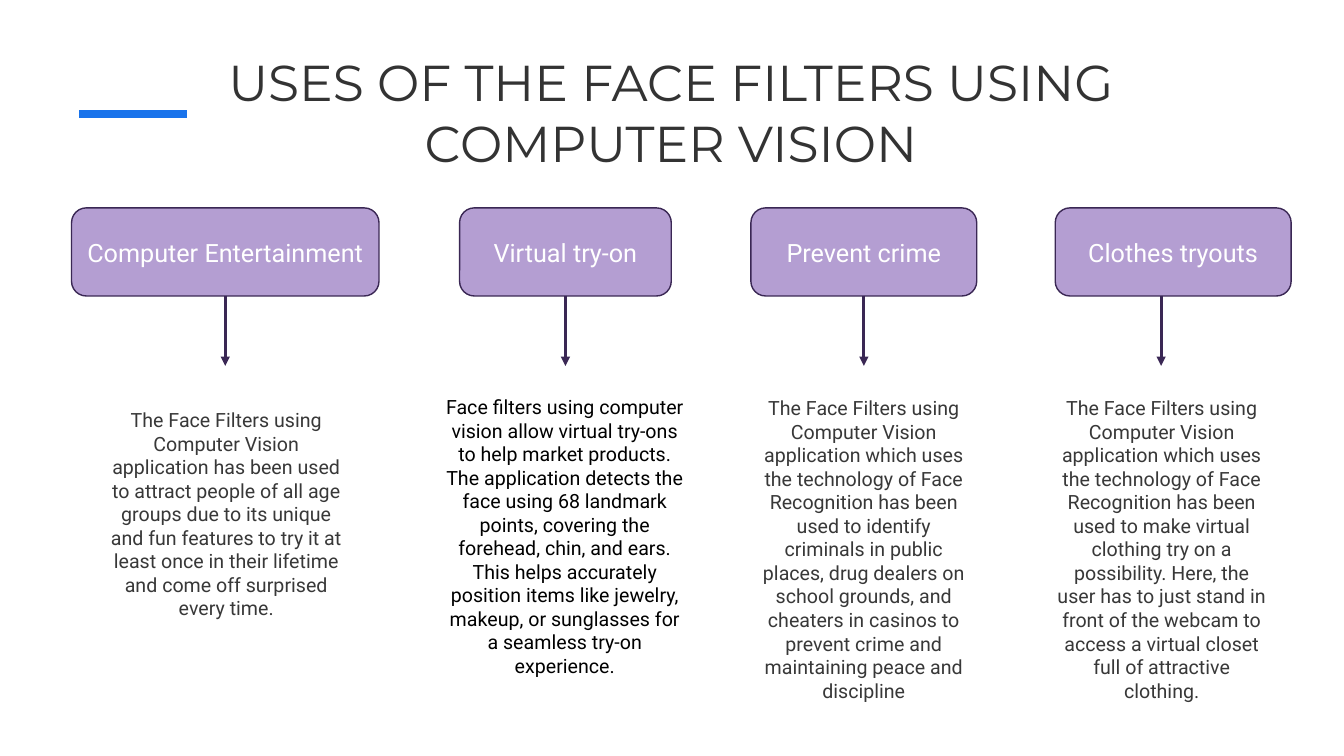
from lxml import etree
from pptx import Presentation
from pptx.dml.color import RGBColor
from pptx.enum import shapes, text
from pptx.oxml import ns
from pptx.util import Pt

# Colours
WHITE = RGBColor(0xFF, 0xFF, 0xFF)
BLACK = RGBColor(0, 0, 0)
DARK = RGBColor(0x33, 0x33, 0x33)
GREY = RGBColor(0x38, 0x38, 0x38)
BLUE = RGBColor(0x19, 0x73, 0xEB)
LILAC = RGBColor(0xB4, 0x9E, 0xD2)
PLUM = RGBColor(0x3A, 0x27, 0x54)

# Content
TITLE = "USES OF THE FACE FILTERS USING COMPUTER VISION"
# head, (box left, width), arrow x (None = box middle), note colour,
# (note left, top, width, height), note
USES = [
    ("Computer Entertainment", (51.1, 219.6), None, GREY, (72, 288, 179.3, 160),
     "The Face Filters using Computer Vision application has been used to "
     "attract people of all age groups due to its unique and fun features to "
     "try it at least once in their lifetime and come off surprised every time."),
    ("Virtual try-on", (328.3, 151.2), None, BLACK, (311, 278.6, 185, 211),
     "Face filters using computer vision allow virtual try-ons to help market "
     "products. The application detects the face using 68 landmark points, "
     "covering the forehead, chin, and ears. This helps accurately position "
     "items like jewelry, makeup, or sunglasses for a seamless try-on experience."),
    ("Prevent crime", (536.4, 161.3), None, GREY, (536.4, 279.4, 161.3, 227.5),
     "The Face Filters using Computer Vision application which uses the "
     "technology of Face Recognition has been used to identify criminals in "
     "public places, drug dealers on school grounds, and cheaters in casinos "
     "to prevent crime and maintaining peace and discipline"),
    ("Clothes tryouts", (753.8, 168.5), 829.4, GREY, (745.2, 279.4, 169.2, 211),
     "The Face Filters using Computer Vision application which uses the "
     "technology of Face Recognition has been used to make virtual clothing "
     "try on a possibility. Here, the user has to just stand in front of the "
     "webcam to access a virtual closet full of attractive clothing."),
]
TOP, HIGH, TIP = 148.5, 62.9, 261.4

deck = Presentation()
deck.slide_width, deck.slide_height = Pt(960), Pt(540)
slide = deck.slides.add_slide(deck.slide_layouts[6])


def write(shape, words, size=14, font="Roboto", color=GREY,
          anchor=text.MSO_ANCHOR.TOP):
    frame = shape.text_frame
    frame.word_wrap = True
    frame.vertical_anchor = anchor
    para = frame.paragraphs[0]
    para.alignment = text.PP_ALIGN.CENTER
    run = para.add_run()
    run.text = words
    run.font.size, run.font.name = Pt(size), font
    run.font.color.rgb = color


def area(left, top, width, height):
    return slide.shapes.add_textbox(Pt(left), Pt(top), Pt(width), Pt(height))


def rule(x1, y1, x2, y2, color, width, arrow=False):
    line = slide.shapes.add_connector(
        shapes.MSO_CONNECTOR.STRAIGHT, Pt(x1), Pt(y1), Pt(x2), Pt(y2))
    line.line.color.rgb, line.line.width = color, Pt(width)
    if arrow:
        etree.SubElement(line.line._get_or_add_ln(), ns.qn("a:tailEnd"),
                         type="triangle")
    etree.SubElement(line._element.spPr, ns.qn("a:effectLst"))
    return line


# Title and accent
rule(56.5, 81.5, 133.5, 81.5, BLUE, 6)
write(area(50.4, 33.1, 857.5, 86.4), TITLE, size=36, font="Montserrat", color=DARK)

# One column per use: box, arrow, note
for head, (left, width), x, color, place, note in USES:
    box = slide.shapes.add_shape(shapes.MSO_SHAPE.ROUNDED_RECTANGLE,
                                 Pt(left), Pt(TOP), Pt(width), Pt(HIGH))
    box.shadow.inherit = False
    box.fill.solid()
    box.fill.fore_color.rgb = LILAC
    box.line.color.rgb, box.line.width = PLUM, Pt(1)
    write(box, head, size=18, color=WHITE, anchor=text.MSO_ANCHOR.MIDDLE)

    at = x or left + width / 2
    arrow = rule(at, TOP + HIGH, at, TIP, PLUM, 2.25, arrow=True)
    if x is None:
        arrow.begin_connect(box, 2)

    write(area(*place), note, color=color)

deck.save("out.pptx")
